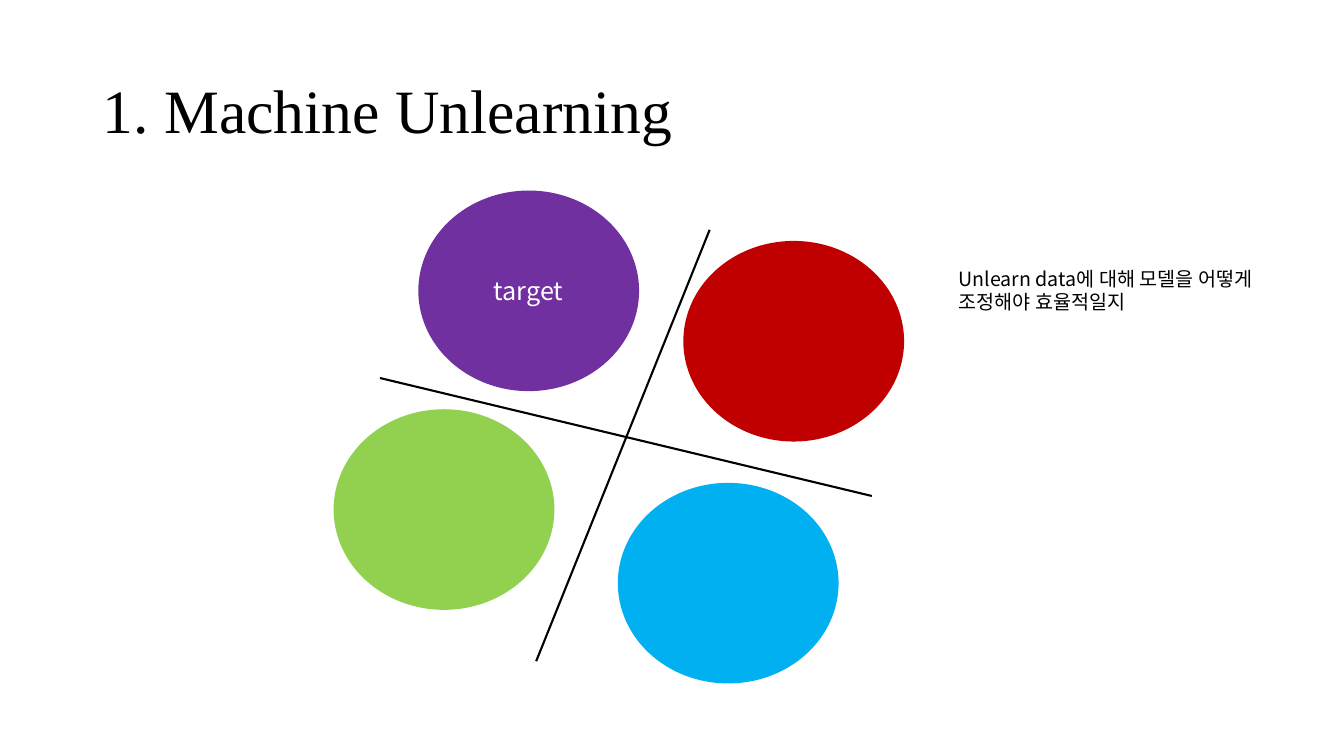
from dataclasses import dataclass

from lxml.etree import SubElement
from pptx import Presentation
from pptx.dml.color import RGBColor
from pptx.enum.shapes import MSO_CONNECTOR, MSO_SHAPE
from pptx.enum.text import MSO_ANCHOR, PP_ALIGN
from pptx.oxml.ns import qn
from pptx.util import Pt


@dataclass(frozen=True)
class Theme:
    title_font: str = "Times New Roman"
    body_font: str = "Noto Sans CJK KR"
    title_size: int = 44
    label_size: int = 18
    note_size: int = 14
    ink: str = "000000"
    paper: str = "FFFFFF"
    purple: str = "7030A0"
    green: str = "92D050"
    red: str = "C00000"
    blue: str = "00B0F0"


THEME = Theme()


def write_text(frame, text, *, size, font=THEME.body_font, color=THEME.ink,
               align=PP_ALIGN.LEFT, anchor=MSO_ANCHOR.TOP, spacing=None):
    frame.word_wrap = True
    frame.vertical_anchor = anchor
    para = frame.paragraphs[0]
    para.alignment = align
    para.line_spacing = spacing
    span = para.add_run()
    span.text = text
    span.font.name = font
    span.font.size = Pt(size)
    span.font.color.rgb = RGBColor.from_string(color)
    # Korean glyphs take the East Asian typeface
    SubElement(span.font._element, qn("a:ea"), typeface=font)


def place_title(page, box, text):
    title = page.shapes.title
    title.left, title.top, title.width, title.height = map(Pt, box)
    write_text(title.text_frame, text, size=THEME.title_size, font=THEME.title_font,
               anchor=MSO_ANCHOR.MIDDLE, spacing=0.9)


def draw_clusters(page, box):
    left, top, width, height = box
    circle_width, circle_height = 157.7, 143.3
    free_x, free_y = width - circle_width, height - circle_height

    # Data clusters: offset inside the box, colour, label
    clusters = [
        (60.5, 0, THEME.purple, "target"),
        (0, 156.2, THEME.green, ""),
        (free_x, 36, THEME.red, ""),
        (203, free_y, THEME.blue, ""),
    ]
    for x, y, color, label in clusters:
        circle = page.shapes.add_shape(MSO_SHAPE.OVAL, Pt(left + x), Pt(top + y),
                                       Pt(circle_width), Pt(circle_height))
        circle.shadow.inherit = False
        circle.fill.solid()
        circle.fill.fore_color.rgb = RGBColor.from_string(color)
        circle.line.fill.background()
        if label:
            write_text(circle.text_frame, label, size=THEME.label_size, color=THEME.paper,
                       align=PP_ALIGN.CENTER, anchor=MSO_ANCHOR.MIDDLE)

    # Decision boundaries between the clusters
    boundaries = [(33.1, 133.9, 384.5, 218.2), (144.7, 336.2, 268.6, 28.1)]
    for x1, y1, x2, y2 in boundaries:
        boundary = page.shapes.add_connector(MSO_CONNECTOR.STRAIGHT, Pt(left + x1), Pt(top + y1),
                                             Pt(left + x2), Pt(top + y2))
        boundary.line.color.rgb = RGBColor.from_string(THEME.ink)
        boundary.line.width = Pt(1.5)
        SubElement(boundary._element.spPr, qn("a:effectLst"))


def place_note(page, box, text):
    note = page.shapes.add_textbox(*map(Pt, box))
    write_text(note.text_frame, text, size=THEME.note_size, spacing=Pt(16.5))


def main():
    deck = Presentation()
    deck.slide_width, deck.slide_height = Pt(960), Pt(540)
    page = deck.slides.add_slide(deck.slide_layouts[5])
    place_title(page, (66.2, 28.8, 828, 104.4), "1. Machine Unlearning")
    draw_clusters(page, (238.3, 136.1, 407.5, 352.1))
    place_note(page, (677.5, 187.2, 248.4, 41),
               "Unlearn data에 대해 모델을 어떻게 조정해야 효율적일지")
    deck.save("out.pptx")


if __name__ == "__main__":
    main()
